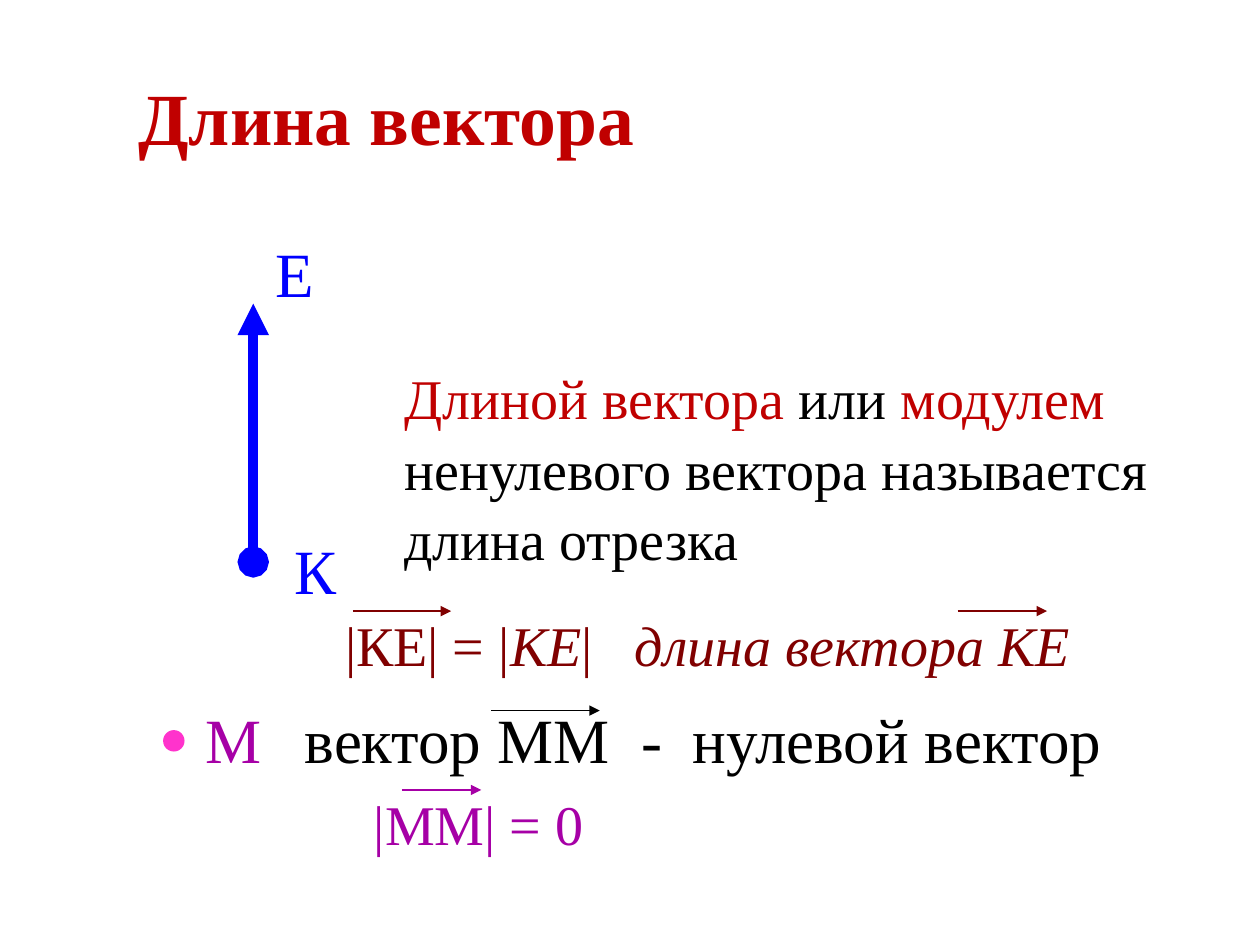
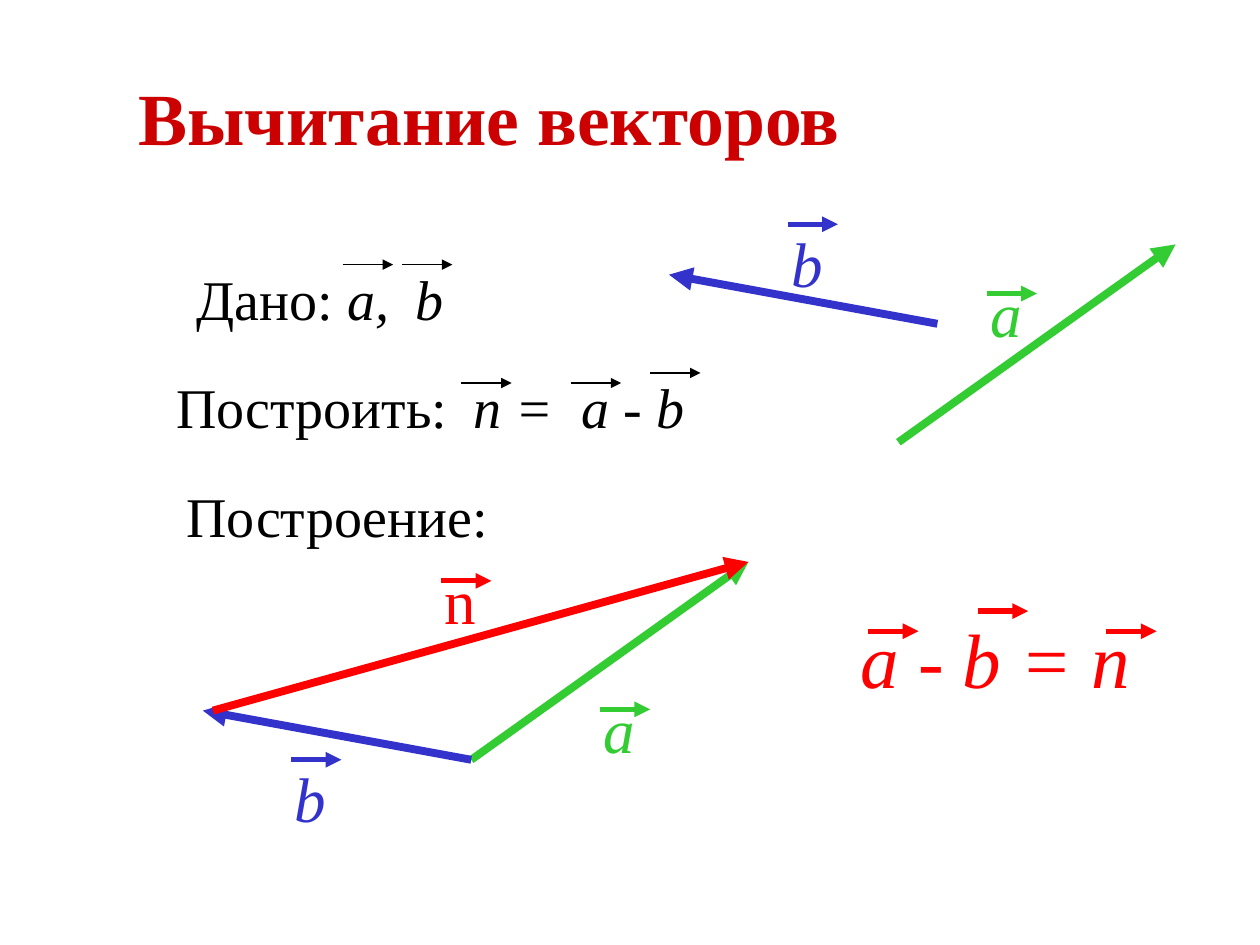
from lxml import etree
from pptx import Presentation
from pptx.dml.color import RGBColor as Rgb
from pptx.enum.shapes import MSO_CONNECTOR as Connector, MSO_SHAPE as Preset
from pptx.enum.text import MSO_ANCHOR as Anchor
from pptx.oxml.ns import qn
from pptx.util import Inches, Pt

COLORS = {
    "black": "000000", "crimson": "C00000", "scarlet": "CC0000", "red": "FF0000",
    "maroon": "800000", "purple": "A600A6", "pink": "FF33CC", "blue": "0000FF",
    "indigo": "3333CC", "green": "33CC33",
}
FONT = "Times New Roman"
THIN, BAR, BOLD, THICK = 0.75, 3, 4.5, 6
TEXT, LETTER, RESULT, TITLE = 32, 36, 44, 42
LABEL_SIZE = (0.63, 0.7)
DELTA_A, DELTA_B = (2.2, -1.57), (-2.13, -0.39)
BAR_OVER_LOW, BAR_OVER_TALL = 0.23, 0.08


class VectorDeck:
    """Keep the shared style and draw elements on the current slide."""

    def __init__(self):
        self.deck = Presentation()
        self.deck.slide_width, self.deck.slide_height = Inches(10), Inches(7.5)
        self.slide = None

    def start(self, heading, color):
        self.slide = self.deck.slides.add_slide(self.deck.slide_layouts[6])
        self.text((1, 0.3, 8.5, 1.25), [(heading, color, {"bold": True})], TITLE,
                  spacing=1, anchor=Anchor.MIDDLE)

    def text(self, box, parts, size, tabs=(), spacing=1.05, anchor=Anchor.TOP):
        frame = self.slide.shapes.add_textbox(*map(Inches, box)).text_frame
        for name, value in {"word_wrap": True, "vertical_anchor": anchor}.items():
            setattr(frame, name, value)
        paragraph = frame.paragraphs[0]
        paragraph.line_spacing = spacing
        if tabs:
            stops = etree.SubElement(paragraph._p.get_or_add_pPr(), qn("a:tabLst"))
            for stop in tabs:
                etree.SubElement(stops, qn("a:tab"), pos=str(Inches(stop)), algn="l")
        for words, color, extra in parts:
            run = paragraph.add_run()
            run.text = words
            for name, value in {"name": FONT, "size": Pt(size), **extra}.items():
                setattr(run.font, name, value)
            run.font.color.rgb = Rgb.from_string(COLORS[color])

    def letter(self, corner, symbol, color, italic=False):
        self.text((*corner, *LABEL_SIZE), [(symbol, color, {"italic": italic})], LETTER)

    def arrow(self, start, delta, color, width, origin=None):
        end = [place + shift for place, shift in zip(start, delta)]
        segment = self.slide.shapes.add_connector(
            Connector.STRAIGHT, *map(Inches, (*start, *end)))
        segment.line.color.rgb = Rgb.from_string(COLORS[color])
        segment.line.width = Pt(width)
        outline = segment.line._get_or_add_ln()
        for tag, tip in (("a:headEnd", origin), ("a:tailEnd", "triangle")):
            if tip:
                etree.SubElement(outline, qn(tag), type=tip)
        etree.SubElement(segment._element.spPr, qn("a:effectLst"))

    def bars(self, spots, length, color="black", width=THIN):
        for spot in spots:
            self.arrow(spot, (length, 0), color, width)

    def vector(self, start, delta, color, symbol, corner, rise, italic=True):
        self.arrow(start, delta, color, BOLD)
        self.letter(corner, symbol, color, italic)
        self.bars([(corner[0] + 0.07, corner[1] + rise)], 0.4, color, BAR)

    def point(self, box, color):
        dot = self.slide.shapes.add_shape(Preset.OVAL, *map(Inches, box))
        dot.shadow.inherit = False
        dot.fill.solid()
        for paint in (dot.fill.fore_color, dot.line.color):
            paint.rgb = Rgb.from_string(COLORS[color])
        dot.line.width = Pt(THIN)


def vector_length(deck):
    """Build the slide on the length of a vector."""
    slanted = {"italic": True}
    deck.start("Длина вектора", "crimson")
    deck.point((1.3, 5.8, 0.16, 0.16), "pink")
    deck.letter((1.53, 5.48), "М", "purple")
    deck.arrow((2.01, 4.46), (0, -2.05), "blue", THICK, origin="oval")
    deck.letter((2.24, 4.14), "К", "blue")
    deck.letter((2.09, 1.78), "Е", "blue")
    deck.text((2.32, 5.48, 7.44, 0.7),
              [("вектор ММ\t-\tнулевой вектор", "black", {})], LETTER, tabs=(2.67, 3.08))
    deck.bars([(3.9, 5.64)], 0.86)
    deck.text((3.11, 2.81, 6.22, 1.7), [
        ("Длиной вектора ", "crimson", {}), ("или ", "black", {}),
        ("модулем ", "crimson", {}),
        ("ненулевого вектора называется длина отрезка", "black", {})], TEXT)
    deck.text((2.64, 4.77, 6.26, 0.64), [
        ("|КЕ| = |", "maroon", {}), ("KE", "maroon", slanted),
        ("|\t", "maroon", {}), ("длина вектора КЕ", "maroon", slanted)],
        TEXT, tabs=(2.3,))
    deck.bars([(2.8, 4.85)], 0.78, "maroon")
    deck.bars([(7.6, 4.85)], 0.71, "maroon")
    deck.text((2.87, 6.19, 2.2, 0.64), [("|ММ| = 0", "purple", {})], TEXT)
    deck.bars([(3.19, 6.27)], 0.63, "purple")


def vector_subtraction(deck):
    """Build the slide on the subtraction of vectors."""
    slanted = {"italic": True}
    deck.start("Вычитание векторов", "scarlet")
    deck.vector((7.13, 3.51), DELTA_A, "green", "a", (7.76, 2.1), BAR_OVER_LOW)
    deck.vector((7.44, 2.57), DELTA_B, "indigo", "b", (6.18, 1.7), BAR_OVER_TALL)

    deck.text((6.73, 4.77, 2.52, 0.84), [("a - b = n", "red", slanted)], RESULT)
    deck.bars([(6.89, 5.01), (7.76, 4.85), (8.78, 5.01)], 0.4, "red", BAR)

    deck.text((1.46, 2.02, 3.31, 0.64),
              [("Дано: ", "black", {}), ("a,\tb", "black", slanted)], TEXT, tabs=(1.74,))
    deck.bars([(2.72, 2.1), (3.19, 2.1)], 0.4)
    deck.text((1.3, 2.88, 4.65, 0.64),
              [("Построить:\t", "black", {}), ("n =\ta - b", "black", slanted)],
              TEXT, tabs=(2.36, 3.22))
    deck.bars([(3.66, 3.04), (4.53, 3.04), (5.16, 2.96)], 0.4)
    deck.text((1.38, 3.75, 3.62, 0.64), [("Построение:", "black", {})], TEXT)

    common_start = (3.74, 6.03)
    deck.vector(common_start, DELTA_A, "green", "a", (4.69, 5.4), BAR_OVER_LOW)
    deck.vector(common_start, DELTA_B, "indigo", "b", (2.24, 5.95), BAR_OVER_TALL)
    deck.vector((1.69, 5.64), (4.25, -1.18), "red", "n", (3.43, 4.38),
                BAR_OVER_LOW, italic=False)


def main():
    """Build both slides and save them."""
    lesson = VectorDeck()
    vector_length(lesson)
    vector_subtraction(lesson)
    lesson.deck.save("out.pptx")


if __name__ == "__main__":
    main()
